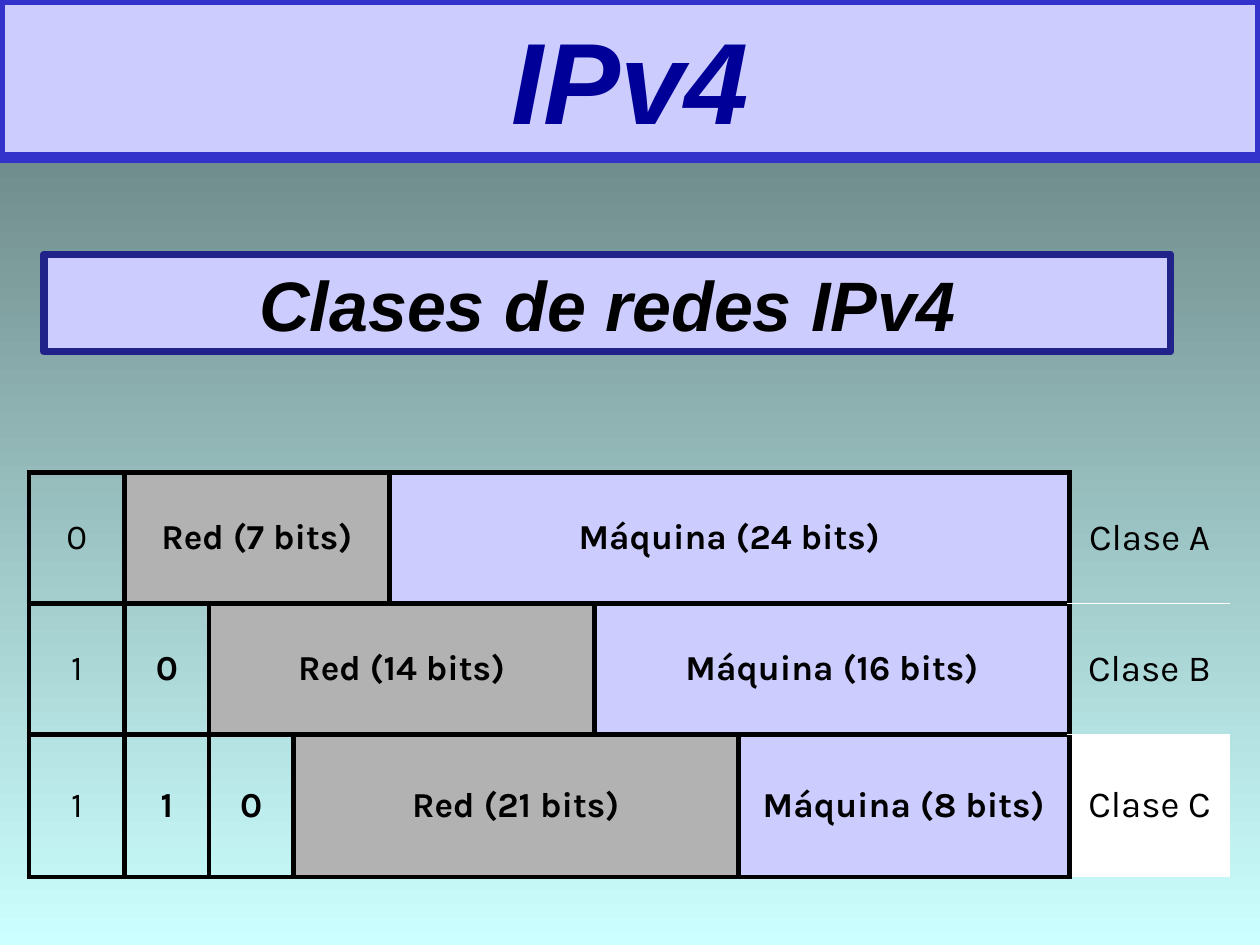
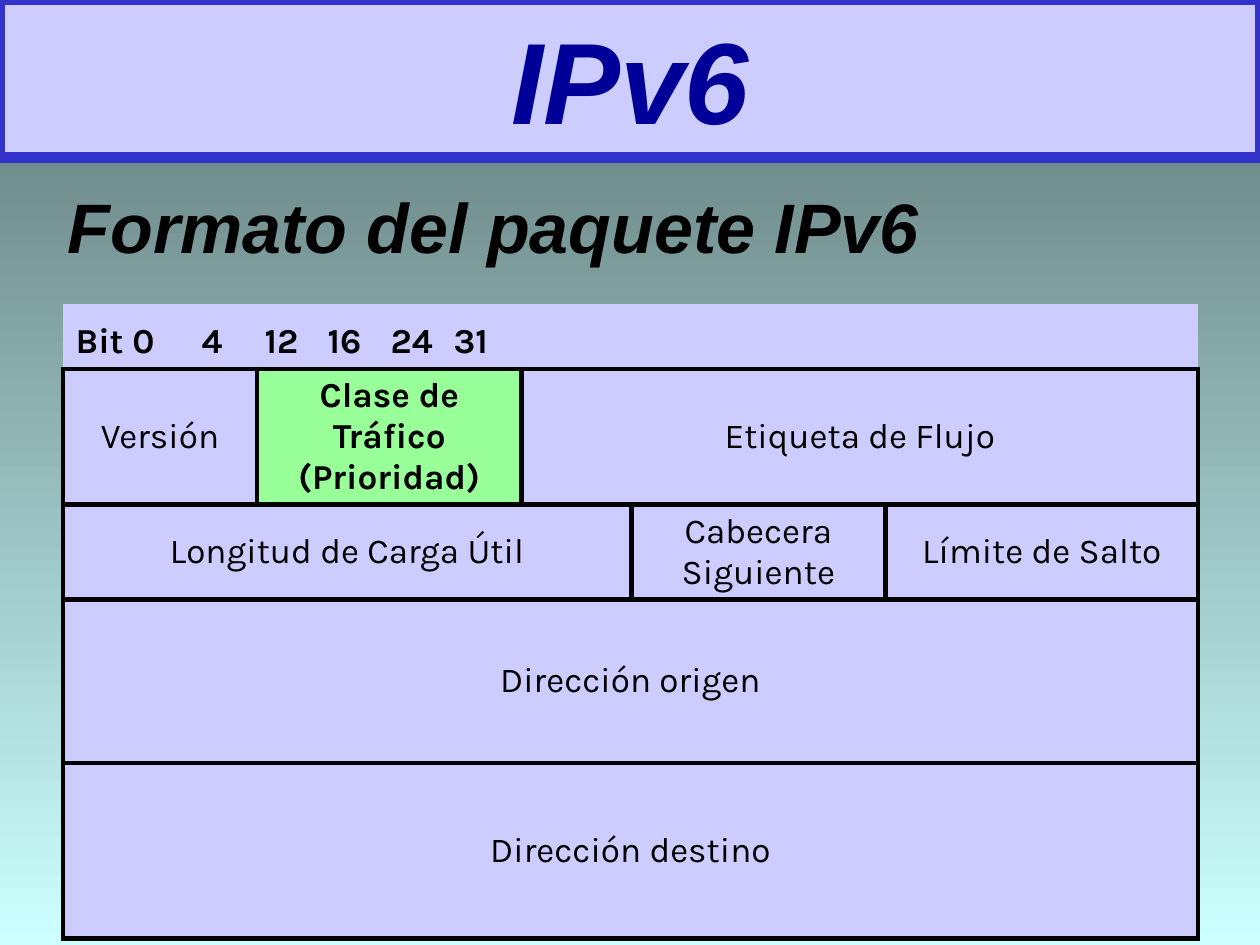
from dataclasses import dataclass
from typing import Optional

from lxml.etree import SubElement
from pptx import Presentation
from pptx.dml.color import RGBColor
from pptx.enum.shapes import MSO_SHAPE
from pptx.enum.text import MSO_ANCHOR as Anchor, MSO_AUTO_SIZE as AutoSize, PP_ALIGN as Align
from pptx.oxml.ns import qn
from pptx.util import Inches, Pt

BLACK = RGBColor(0x00, 0x00, 0x00)
WHITE = RGBColor(0xFF, 0xFF, 0xFF)
LAVENDER = RGBColor(0xCC, 0xCC, 0xFF)
GRAY = RGBColor(0xB2, 0xB2, 0xB2)
GREEN = RGBColor(0x99, 0xFF, 0x99)
TITLE_BLUE = RGBColor(0x00, 0x00, 0x99)
TITLE_BORDER = RGBColor(0x33, 0x33, 0xCC)
HEADING_BORDER = RGBColor(0x22, 0x22, 0x8B)
GRADIENT = (RGBColor(0x5E, 0x76, 0x76), RGBColor(0xCC, 0xFF, 0xFF))

HEADING_FONT, TABLE_FONT = "Arial", "Karla"
GRID_COLUMNS, GRID_ROWS = 100, 75

THICK = (BLACK, 3)
THIN = (WHITE, 1)
BOXED = dict.fromkeys("LRTB", THICK)


@dataclass
class Cell:
    text: str
    fill: Optional[RGBColor] = None
    span: int = 1
    bold: bool = False
    size: int = 20
    borders: Optional[dict] = None
    align: Align = Align.CENTER
    anchor: Anchor = Anchor.MIDDLE


class Deck:
    """Holds the shared style and the slide being built; lengths are in grid units."""

    def __init__(self):
        self.presentation = Presentation()
        self.presentation.slide_width = Inches(10)
        self.presentation.slide_height = Inches(7.5)
        self.slide = None
        background = self.presentation.slide_master.background.fill
        background.gradient()
        background.gradient_angle = 270
        for position, (stop, color) in enumerate(zip(background.gradient_stops, GRADIENT)):
            stop.position = position
            stop.color.rgb = color

    def across(self, columns):
        return round(self.presentation.slide_width * columns / GRID_COLUMNS)

    def down(self, rows):
        return round(self.presentation.slide_height * rows / GRID_ROWS)

    def box(self, left, top, width, height):
        return self.across(left), self.down(top), self.across(width), self.down(height)

    def set_text(self, text_frame, text, font_name, size, color=BLACK,
                 bold=True, italic=False, align=Align.CENTER):
        text_frame.text = text
        for paragraph in text_frame.paragraphs:
            paragraph.alignment = align
            for run in paragraph.runs:
                font = run.font
                font.name, font.size = font_name, Pt(size)
                font.bold, font.italic = bold, italic
                font.color.rgb = color

    def paint(self, shape, line_color, line_width):
        shape.fill.solid()
        shape.fill.fore_color.rgb = LAVENDER
        shape.line.color.rgb = line_color
        shape.line.width = Pt(line_width)
        shape.shadow.inherit = False

    def add_slide(self, title_text):
        self.slide = self.presentation.slides.add_slide(self.presentation.slide_layouts[5])
        title = self.slide.shapes.title
        title.left, title.top, title.width, title.height = self.box(0, 0, GRID_COLUMNS, 12.5)
        self.paint(title, TITLE_BORDER, 6)
        title.text_frame.auto_size = AutoSize.NONE
        title.text_frame.vertical_anchor = Anchor.MIDDLE
        self.set_text(title.text_frame, title_text, HEADING_FONT, 66, TITLE_BLUE, italic=True)

    def add_framed_heading(self, text, *place):
        shape = self.slide.shapes.add_shape(MSO_SHAPE.RECTANGLE, *self.box(*place))
        self.paint(shape, HEADING_BORDER, 4.5)
        self.set_text(shape.text_frame, text, HEADING_FONT, 40, italic=True)

    def add_plain_heading(self, text, *place):
        text_frame = self.slide.shapes.add_textbox(*self.box(*place)).text_frame
        text_frame.word_wrap = False
        self.set_text(text_frame, text, HEADING_FONT, 40, italic=True, align=Align.LEFT)

    def add_table(self, left, top, widths, heights, rows):
        place = self.box(left, top, sum(widths), sum(heights))
        table = self.slide.shapes.add_table(len(heights), len(widths), *place).table
        table.first_row = table.horz_banding = False
        for column, width in zip(table.columns, widths):
            column.width = self.across(width)
        for row, height in zip(table.rows, heights):
            row.height = self.down(height)
        for row_index, row in enumerate(rows):
            column_index = 0
            for content in row:
                self.fill_cell(table, row_index, column_index, content)
                column_index += content.span

    def fill_cell(self, table, row, column, content):
        """Format every cell under the span, then merge them and set the text."""
        last = column + content.span - 1
        for index in range(column, last + 1):
            cell = table.cell(row, index)
            self.draw_borders(cell, BOXED if content.borders is None else content.borders)
            if content.fill is None:
                cell.fill.background()
            else:
                cell.fill.solid()
                cell.fill.fore_color.rgb = content.fill
        origin = table.cell(row, column)
        if content.span > 1:
            origin.merge(table.cell(row, last))
        origin.vertical_anchor = content.anchor
        self.set_text(origin.text_frame, content.text, TABLE_FONT, content.size,
                      bold=content.bold, align=content.align)

    def draw_borders(self, cell, borders):
        properties = cell._tc.get_or_add_tcPr()
        for side in "LRTB":
            line = SubElement(properties, qn(f"a:ln{side}"))
            if side in borders:
                color, width = borders[side]
                line.set("w", str(Pt(width)))
                fill = SubElement(line, qn("a:solidFill"))
                SubElement(fill, qn("a:srgbClr")).set("val", str(color))
            else:
                SubElement(line, qn("a:noFill"))


def network(bits, span):
    return Cell(f"Red ({bits} bits)", GRAY, span, bold=True)


def host(bits, span=1):
    return Cell(f"Máquina ({bits} bits)", LAVENDER, span, bold=True)


def class_label(letter, fill=None, **borders):
    return Cell(f"Clase {letter}", fill, size=21, borders={"L": THICK, **borders})


def field(text, span=1):
    return Cell(text, LAVENDER, span)


def add_network_classes(deck):
    deck.add_slide("IPv4")
    deck.add_table(
        2.3, 37.5,
        widths=[7.6, 6.7, 6.7, 7.6, 16.3, 11.4, 26.3, 12.7],
        heights=[10.4, 10.4, 11.3],
        rows=[
            [Cell("0"), network(7, 3), host(24, 3), class_label("A", B=THIN)],
            [Cell("1"), Cell("0", bold=True), network(14, 3), host(16, 2),
             class_label("B", T=THIN, B=THIN)],
            [Cell("1"), Cell("1", bold=True), Cell("0", bold=True), network(21, 3), host(8),
             class_label("C", WHITE, T=THIN)],
        ])
    deck.add_framed_heading("Clases de redes IPv4", 3.5, 20.2, 89.4, 7.7)


def add_packet_format(deck):
    bit_ruler = Cell("\t".join(["Bit 0", "4", "12", "16", "24", "31"]), LAVENDER, 5, bold=True,
                     borders={"B": THICK}, align=Align.JUSTIFY, anchor=Anchor.BOTTOM)
    deck.add_slide("IPv6")
    deck.add_table(
        5, 24.1,
        widths=[15.4, 21, 8.7, 20.2, 24.8],
        heights=[5.2, 10.7, 7.5, 13, 13.9],
        rows=[
            [bit_ruler],
            [field("Versión"), Cell("Clase de Tráfico\n(Prioridad)", GREEN, bold=True),
             field("Etiqueta de Flujo", 3)],
            [field("Longitud de Carga Útil", 3), field("Cabecera Siguiente"),
             field("Límite de Salto")],
            [field("Dirección origen", 5)],
            [field("Dirección destino", 5)],
        ])
    deck.add_plain_heading("Formato del paquete IPv6", 4.4, 14.1, 69.6, 7.7)


def main():
    deck = Deck()
    add_network_classes(deck)
    add_packet_format(deck)
    deck.presentation.save("out.pptx")


if __name__ == "__main__":
    main()
